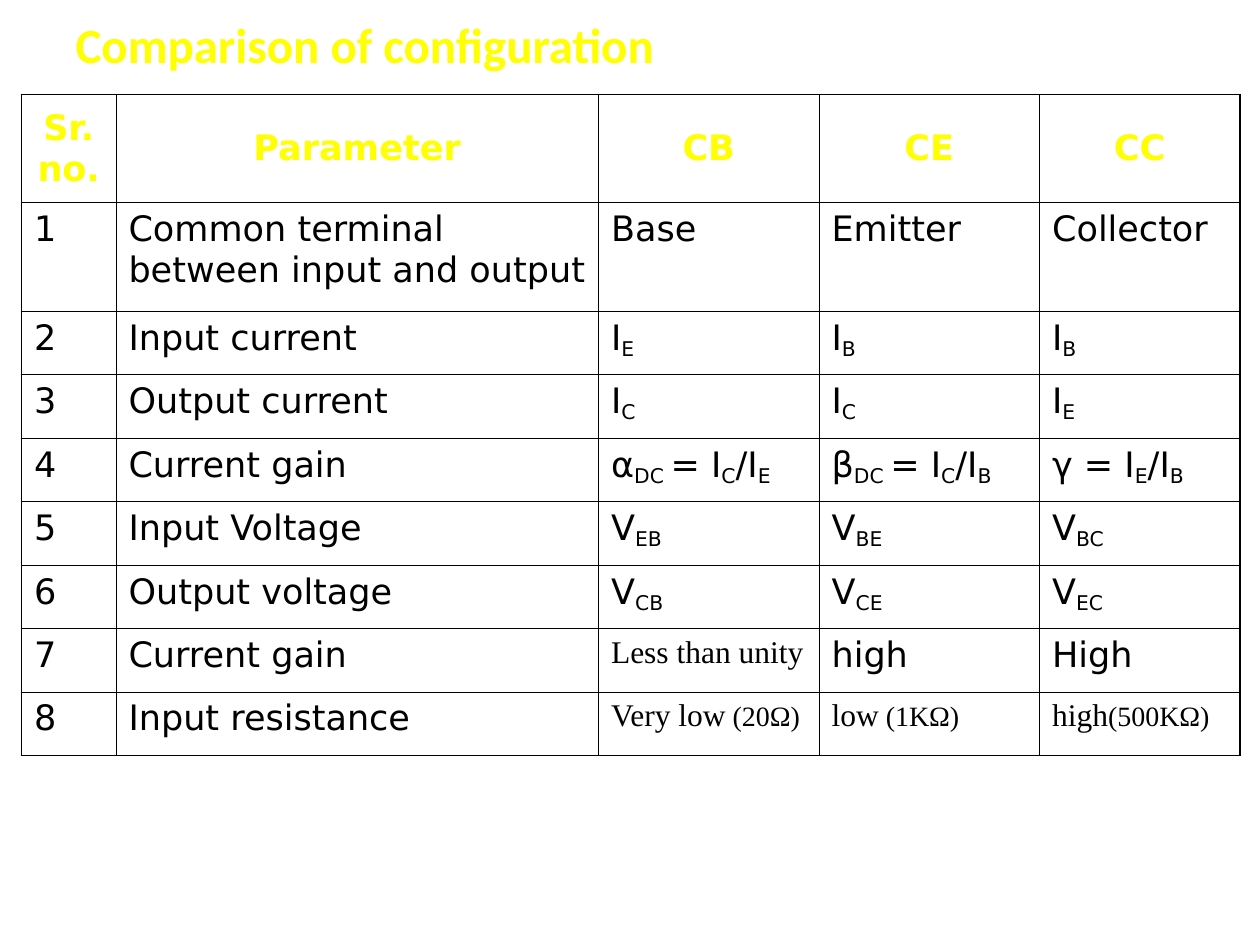
import dataclasses

import lxml.etree
import pptx
import pptx.dml.color
import pptx.enum.text
import pptx.oxml.ns
import pptx.util

Inches = pptx.util.Inches
Pt = pptx.util.Pt
qn = pptx.oxml.ns.qn
Align = pptx.enum.text.PP_ALIGN
Anchor = pptx.enum.text.MSO_ANCHOR


@dataclasses.dataclass(frozen=True)
class Theme:
    accent: str = "FFFF00"
    ink: str = "000000"
    paper: str = "FFFFFF"
    head: str = "Calibri"
    sans: str = "DejaVu Sans"
    serif: str = "Times New Roman"
    title: float = 28
    body: float = 20
    value: float = 18
    note: float = 16
    thin: float = 0.45
    thick: float = 1.08
    drop: int = -18000


THEME = Theme()
WIDTHS = (0.75, 3.83, 1.75, 1.75)  # the last column takes the rest
TALL = 0.86  # the heading and the first row; the others share the rest
HEADS = ("Sr.no.", "Parameter", "CB", "CE", "CC")

# Text between tildes is a subscript; text after a bar is a smaller note.
ROWS = (
    ("Common terminal between input and output", "Base", "Emitter", "Collector"),
    ("Input current", "I~E~", "I~B~", "I~B~"),
    ("Output current", "I~C~", "I~C~", "I~E~"),
    ("Current gain", "α~DC ~= I~C~/I~E~", "β~DC ~= I~C~/I~B~", "γ = I~E~/I~B~"),
    ("Input Voltage", "V~EB~", "V~BE~", "V~BC~"),
    ("Output voltage", "V~CB~", "V~CE~", "V~EC~"),
    ("Current gain", "Less than unity", "high", "High"),
    ("Input resistance", "Very low| (20Ω)", "low| (1KΩ)", "high|(500KΩ)"),
)


def write(frame, text, font=THEME.sans, size=THEME.body, color=THEME.ink,
          bold=False, align=Align.LEFT):
    """Fill a text frame with one formatted paragraph."""
    para = frame.paragraphs[0]
    para.alignment = align
    main, _, note = text.partition("|")
    parts = [(part, size, i % 2) for i, part in enumerate(main.split("~"))]
    parts.append((note, THEME.note, 0))
    for part, points, sub in parts:
        if not part:
            continue
        run = para.add_run()
        run.text = part
        run.font.name = font
        run.font.size = Pt(points)
        run.font.bold = bold
        run.font.color.rgb = pptx.dml.color.RGBColor.from_string(color)
        if sub:
            run.font._element.set("baseline", str(THEME.drop))


def border(cell, **sides):
    """Draw the cell's sides, given as L, R, T, B widths in points."""
    props = cell._tc.get_or_add_tcPr()
    for side, width in sides.items():
        line = lxml.etree.SubElement(props, qn(f"a:ln{side}"), w=str(Pt(width)))
        fill = lxml.etree.SubElement(line, qn("a:solidFill"))
        lxml.etree.SubElement(fill, qn("a:srgbClr"), val=THEME.ink)


def heading(slide, left, top, width, height):
    title = slide.shapes.title
    title.left, title.top, title.width, title.height = left, top, width, height
    frame = title.text_frame
    frame.auto_size = pptx.enum.text.MSO_AUTO_SIZE.NONE
    frame.vertical_anchor = Anchor.MIDDLE
    write(frame, "Comparison of configuration", font=THEME.head,
          size=THEME.title, color=THEME.accent, bold=True)


def style(row, text):
    """Choose the text format for a table cell."""
    if row == 0:
        return dict(color=THEME.accent, bold=True, align=Align.CENTER)
    if "|" in text or text == "Less than unity":
        return dict(font=THEME.serif, size=THEME.value)
    return {}


def grid(slide, left, top, width, height):
    data = [HEADS] + [(str(n), *row) for n, row in enumerate(ROWS, 1)]
    rows, cols = len(data), len(HEADS)
    table = slide.shapes.add_table(rows, cols, left, top, width, height).table
    table.first_row = table.horz_banding = False

    # Column widths and row heights
    wide = [Inches(w) for w in WIDTHS]
    for col, size in zip(table.columns, wide + [width - sum(wide)]):
        col.width = size
    tall = Inches(TALL)
    for i, row in enumerate(table.rows):
        row.height = tall if i < 2 else (height - 2 * tall) // (rows - 2)

    # Cells, with a thicker outer frame
    for r, texts in enumerate(data):
        for c, text in enumerate(texts):
            cell = table.cell(r, c)
            edges = dict(L=c == 0, R=c == cols - 1, T=r == 0, B=r == rows - 1)
            border(cell, **{side: THEME.thick if outer else THEME.thin
                            for side, outer in edges.items()})
            cell.fill.background()
            cell.vertical_anchor = Anchor.TOP if r else Anchor.MIDDLE
            write(cell.text_frame, text, **style(r, text))


def main():
    deck = pptx.Presentation()
    deck.slide_width, deck.slide_height = Inches(10), Inches(7.5)
    slide = deck.slides.add_slide(deck.slide_layouts[5])
    back = slide.background.fill
    back.solid()
    back.fore_color.rgb = pptx.dml.color.RGBColor.from_string(THEME.paper)
    heading(slide, Inches(0.5), Inches(0.08), Inches(9), Inches(0.53))
    grid(slide, Inches(0.17), Inches(0.75), Inches(9.67), Inches(5.25))
    deck.save("out.pptx")


if __name__ == "__main__":
    main()
